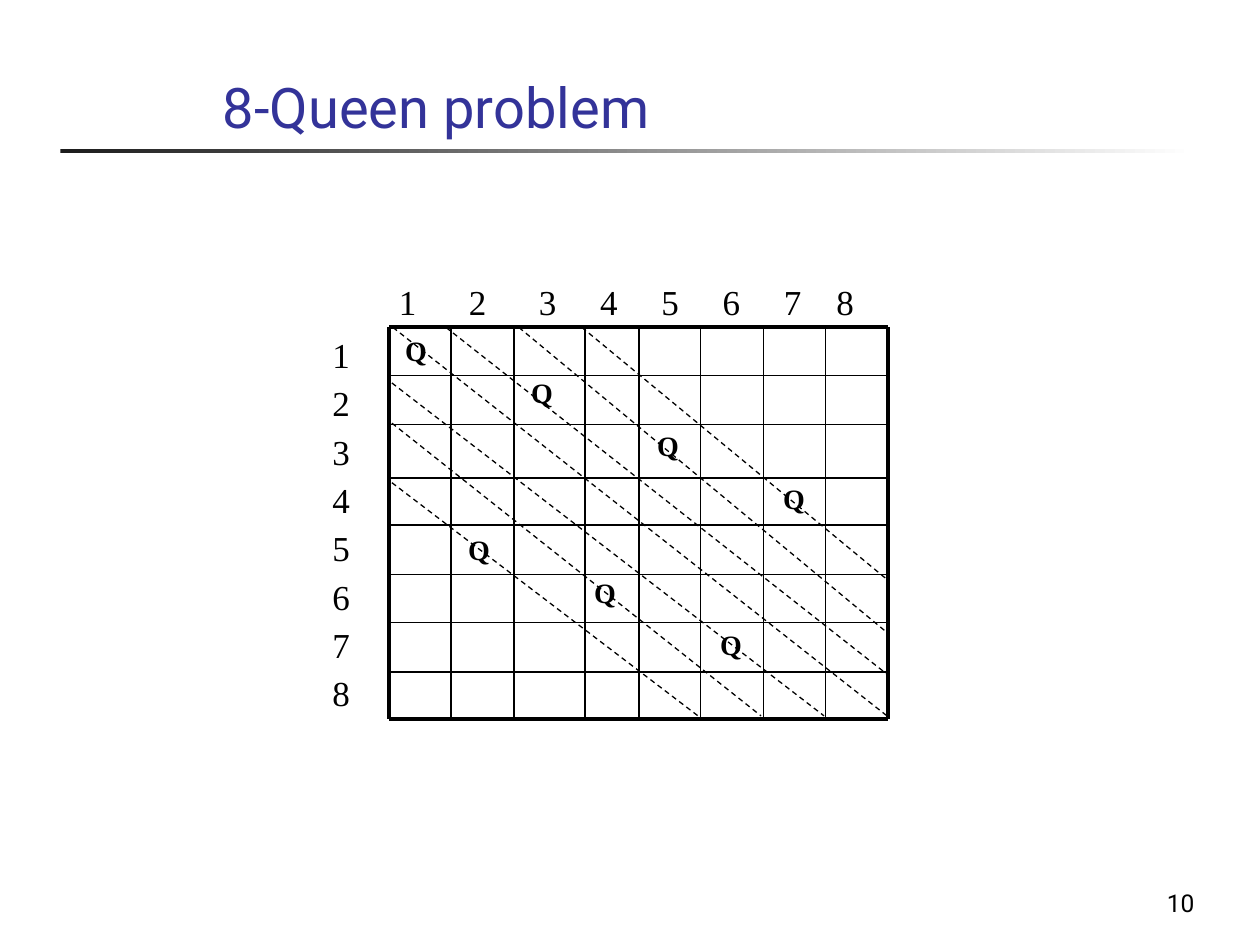
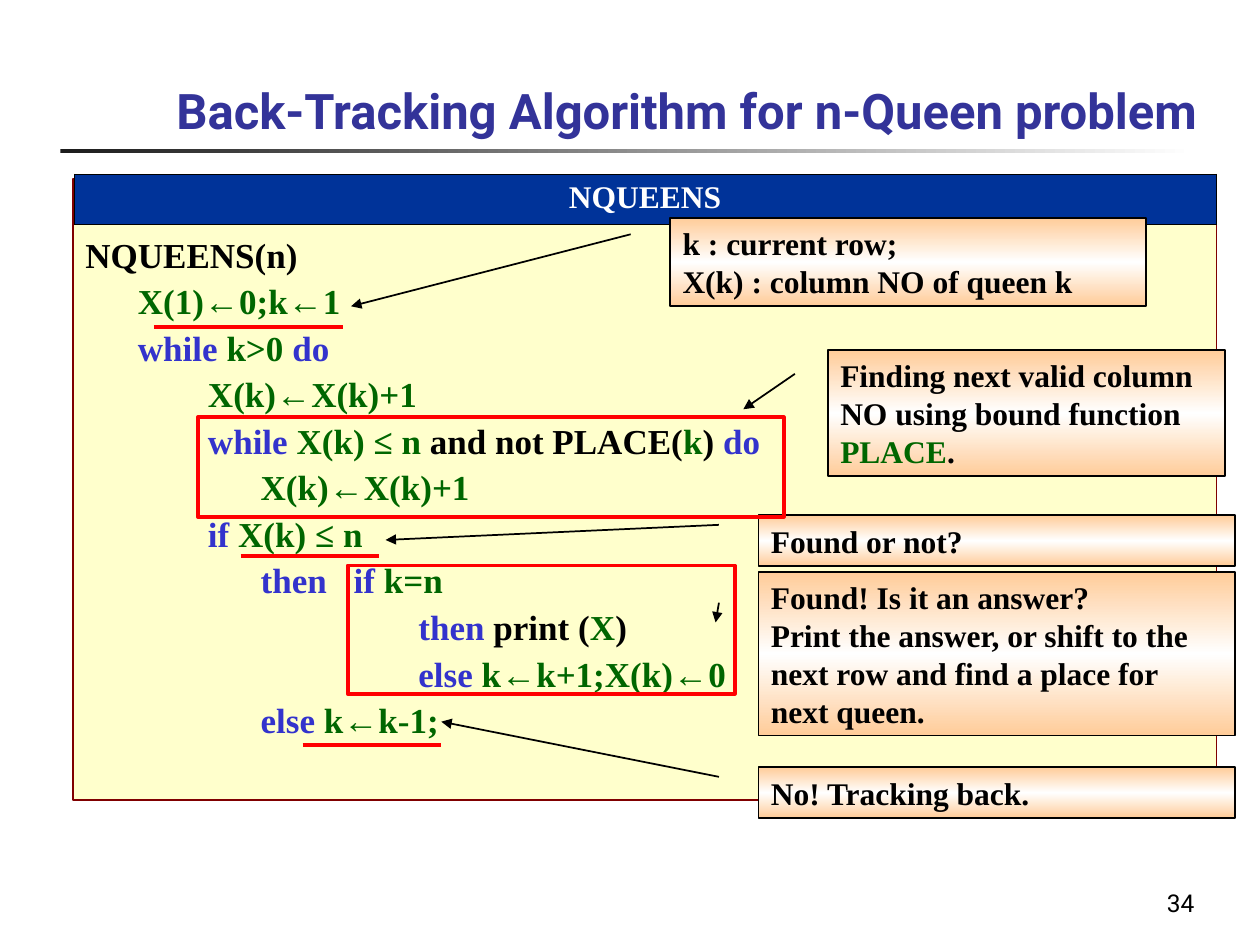
"""Build two slides on the queens problem: a board and the back-tracking code."""
from copy import deepcopy
from lxml.etree import SubElement
from pptx import Presentation
from pptx.dml.color import RGBColor as RGB
from pptx.enum.dml import MSO_LINE as Dash
from pptx.enum.shapes import MSO_CONNECTOR as Link, MSO_SHAPE as Shape
from pptx.enum.text import MSO_ANCHOR as Anchor, MSO_AUTO_SIZE as Fit, PP_ALIGN as Align
from pptx.oxml import parse_xml
from pptx.oxml.ns import nsdecls, qn
from pptx.util import Cm, Pt

BLACK = RGB(0, 0, 0)
WHITE = RGB(255, 255, 255)
GREY = RGB(0x1C, 0x1C, 0x1C)
INDIGO = RGB(0x33, 0x33, 0x99)
NAVY = RGB(0, 0x33, 0x99)
BLUE = RGB(0x33, 0x33, 0xCC)
GREEN = RGB(0, 0x66, 0)
RED = RGB(255, 0, 0)
MAROON = RGB(0x80, 0, 0)
CREAM = RGB(255, 255, 0xCC)
PEACH = RGB(255, 0xCC, 0x99)
SERIF, SANS, ARROW = "Times New Roman", "Roboto", "Arial"


def put(frame, lines, size, color=BLACK, font=SERIF, bold=True, align=Align.LEFT,
        anchor=Anchor.TOP, before=0, lead=None, tabs=()):
    """Write lines, each a string or a list of (text, colour) runs."""
    frame.word_wrap = True
    frame.auto_size = Fit.NONE
    frame.vertical_anchor = anchor
    for i, line in enumerate(lines):
        para = frame.paragraphs[0] if i == 0 else frame.add_paragraph()
        para.alignment = align
        para.space_before = Pt(before if i else 0)
        if lead:
            para.line_spacing = lead
        if tabs:
            stops = SubElement(para._p.get_or_add_pPr(), qn("a:tabLst"))
            for spot in tabs:
                SubElement(stops, qn("a:tab"), pos=str(int(spot)), algn="l")
        for words, tint in [(line, color)] if isinstance(line, str) else line:
            for part in words.replace("←", "|←|").split("|"):
                if part:
                    run = para.add_run()
                    run.text = part
                    run.font.name = ARROW if part == "←" else font
                    run.font.size = Pt(size)
                    run.font.bold = bold
                    run.font.color.rgb = tint


def rule(slide, x1, y1, x2, y2, color=BLACK, width=1.0, dash=None):
    """Draw a straight line between two points given in centimetres."""
    line = slide.shapes.add_connector(Link.STRAIGHT, Cm(x1), Cm(y1), Cm(x2), Cm(y2))
    line.line.color.rgb = color
    line.line.width = Pt(width)
    if dash:
        line.line.dash_style = dash
    SubElement(line._element.spPr, qn("a:effectLst"))


deck = Presentation()
deck.slide_width, deck.slide_height = Cm(25.4), Cm(19.05)
heads = [
    ("8-Queen problem", 32, False, 4.24, 19.96, "10"),
    ("Back-Tracking Algorithm for n-Queen problem", 28, True, 3.3, 22.1, "34"),
]
for words, size, bold, left, width, page in heads:
    slide = deck.slides.add_slide(deck.slide_layouts[5])
    band = slide.shapes.add_shape(Shape.RECTANGLE, Cm(1.22), Cm(3), Cm(22.86), Cm(0.08))
    band.shadow.inherit = False
    band.line.fill.background()
    band.fill.gradient()
    band.fill.gradient_angle = 0
    for stop, tint in zip(band.fill.gradient_stops, (GREY, WHITE)):
        stop.color.rgb = tint
    title = slide.shapes.title
    title.left, title.top, title.width, title.height = Cm(left), Cm(0.43), Cm(width), Cm(2.51)
    put(title.text_frame, [words], size, INDIGO, SANS, bold, anchor=Anchor.BOTTOM)
    foot = slide.shapes.add_textbox(Cm(19.05), Cm(17.35), Cm(5.28), Cm(1.27))
    put(foot.text_frame, [page], 14, font=SANS, bold=False, align=Align.RIGHT,
        anchor=Anchor.BOTTOM)

board, code = deck.slides

cols = [7.85, 9.09, 10.36, 11.79, 12.88, 14.12, 15.39, 16.64, 17.91]
rows = [6.6, 7.57, 8.56, 9.63, 10.59, 11.58, 12.55, 13.54, 14.5]
for y in rows:
    rule(board, cols[0], y, cols[-1], y, width=2.25 if y in (rows[0], rows[-1]) else 1)
for x in cols:
    rule(board, x, rows[0], x, rows[-1], width=2.25 if x in (cols[0], cols[-1]) else 1)

marks = [str(n) for n in range(1, 9)]
top = board.shapes.add_textbox(Cm(7.44), Cm(5.54), Cm(10.85), Cm(1.02))
put(top.text_frame, ["".join("\t" + m for m in marks)], 20, bold=False,
    tabs=[Pt(p) for p in (10, 50, 90, 125, 160, 195, 230, 260)])
side = board.shapes.add_textbox(Cm(6.45), Cm(6.6), Cm(1.19), Cm(8.51))
put(side.text_frame, marks, 20, bold=False, before=3.6)

for i, y in enumerate([6.6, 10.62, 7.44, 11.48, 8.51, 12.52, 9.58]):
    queen = board.shapes.add_textbox(Cm(7.92 + 1.27 * i), Cm(y), Cm(1.24), Cm(0.99))
    put(queen.text_frame, ["Q"], 16)

slants = [
    (7.92, 6.6, 17.88, 14.43), (8.99, 6.6, 17.88, 13.59), (10.46, 6.6, 17.88, 12.75),
    (11.73, 6.6, 17.88, 11.68), (7.9, 9.73, 14.07, 14.43), (7.9, 8.53, 15.34, 14.43),
    (7.9, 7.72, 16.61, 14.43),
]
for ends in slants:
    rule(board, *ends, width=0.75, dash=Dash.DASH)

steps = [
    (0, [("NQUEENS(n)", BLACK)]),
    (6, [("X(1)←0;k←1", GREEN)]),
    (6, [("while ", BLUE), ("k>0 ", GREEN), ("do", BLUE)]),
    (14, [("X(k)←X(k)+1", GREEN)]),
    (14, [("while ", BLUE), ("X(k) ≤ n", GREEN), (" and not PLACE(", BLACK),
          ("k", GREEN), (") ", BLACK), ("do", BLUE)]),
    (20, [("X(k)←X(k)+1", GREEN)]),
    (14, [("if ", BLUE), ("X(k) ≤ n", GREEN)]),
    (20, [("then\tif ", BLUE), ("k=n", GREEN)]),
    (38, [("then", BLUE), (" print (", BLACK), ("X", GREEN), (")", BLACK)]),
    (38, [("else ", BLUE), ("k←k+1;X(k)←0", GREEN)]),
    (20, [("else", BLUE), (" k←k-1;", GREEN)]),
]
panel = code.shapes.add_shape(Shape.RECTANGLE, Cm(1.47), Cm(3.61), Cm(23.06), Cm(12.52))
panel.shadow.inherit = False
panel.fill.solid()
panel.fill.fore_color.rgb = CREAM
panel.line.color.rgb = MAROON
panel.line.width = Pt(0.75)
put(panel.text_frame, [[(" " * pad, BLACK)] + runs for pad, runs in steps], 20,
    anchor=Anchor.MIDDLE, before=5, lead=0.9, tabs=[Cm(5.41)])

grid = code.shapes.add_table(1, 1, Cm(1.5), Cm(3.51), Cm(23.01), Cm(1.02)).table
cell = grid.cell(0, 0)
cell.fill.solid()
cell.fill.fore_color.rgb = NAVY
put(cell.text_frame, ["NQUEENS"], 18, WHITE, align=Align.CENTER)
for i, edge in enumerate("LRTB"):
    cell._tc.get_or_add_tcPr().insert(i, parse_xml(
        f'<a:ln{edge} {nsdecls("a")} w="5715"><a:solidFill><a:srgbClr val="000000"/>'
        f'</a:solidFill></a:ln{edge}>'))

notes = [
    (13.51, 4.39, 9.6, 1.78, 1.003, -0.67,
     ["k : current row;", "X(k) : column NO of queen k"]),
    (16.69, 7.06, 8, 2.54, 0.469, -0.213,
     [[("Finding next valid column NO using bound function ", BLACK),
       ("PLACE", GREEN), (".", BLACK)]]),
    (15.29, 11.53, 9.6, 3.3, 0.309, -0.09,
     ["Found! Is it an answer?",
      "Print the answer, or shift to the next row and find a place for next queen."]),
    (15.29, 10.39, 9.6, 1.02, 0.487, -0.783, ["Found or not?"]),
    (15.29, 15.47, 9.6, 1.02, -0.903, -0.666, ["No! Tracking back."]),
]
for x, y, w, h, tipy, tipx, lines in notes:
    note = code.shapes.add_shape(Shape.LINE_CALLOUT_1, Cm(x), Cm(y), Cm(w), Cm(h))
    note.shadow.inherit = False
    for i, value in enumerate((0.188, -0.083, tipy, tipx)):
        note.adjustments[i] = value
    note.fill.gradient()
    note.fill.gradient_angle = 90
    stops = note._element.spPr.find(".//" + qn("a:gsLst"))
    mid = deepcopy(stops[0])
    mid.set("pos", "50000")
    stops.insert(1, mid)
    for stop, tint in zip(note.fill.gradient_stops, (PEACH, WHITE, PEACH)):
        stop.color.rgb = tint
    note.line.color.rgb = BLACK
    note.line.width = Pt(1)
    SubElement(note.line._get_or_add_ln(), qn("a:tailEnd"), type="triangle")
    put(note.text_frame, lines, 18)

for x, y, w, h in [(3.99, 8.41, 11.81, 2.01), (7.01, 11.4, 7.8, 2.59)]:
    frame = code.shapes.add_shape(Shape.RECTANGLE, Cm(x), Cm(y), Cm(w), Cm(h))
    frame.shadow.inherit = False
    frame.fill.background()
    frame.line.color.rgb = RED
    frame.line.width = Pt(2.25)
for x1, x2, y in [(3.1, 6.91, 6.6), (4.85, 7.65, 11.2), (6.1, 8.89, 15.01)]:
    rule(code, x1, y, x2, y, RED, 2.25)

deck.save("out.pptx")
